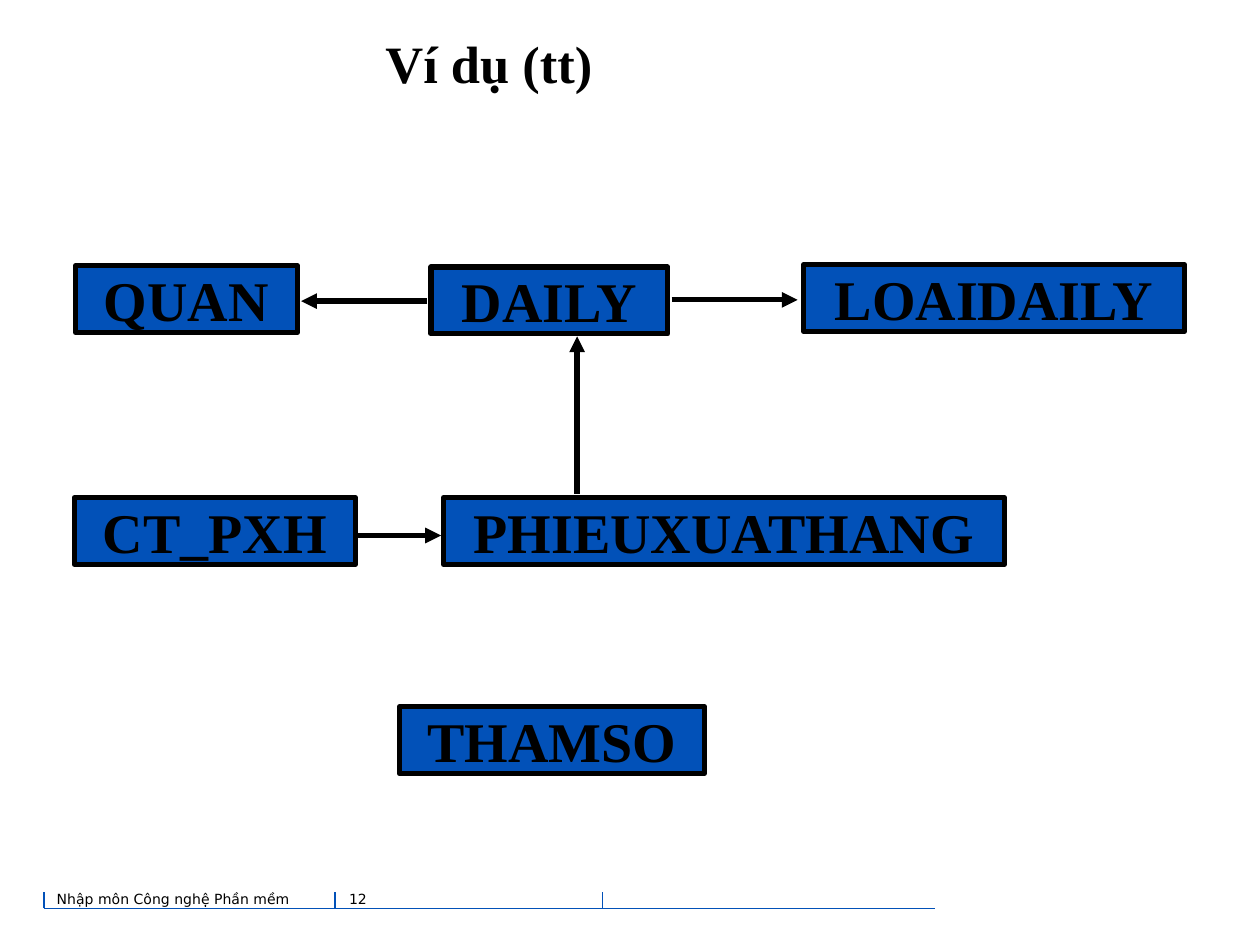
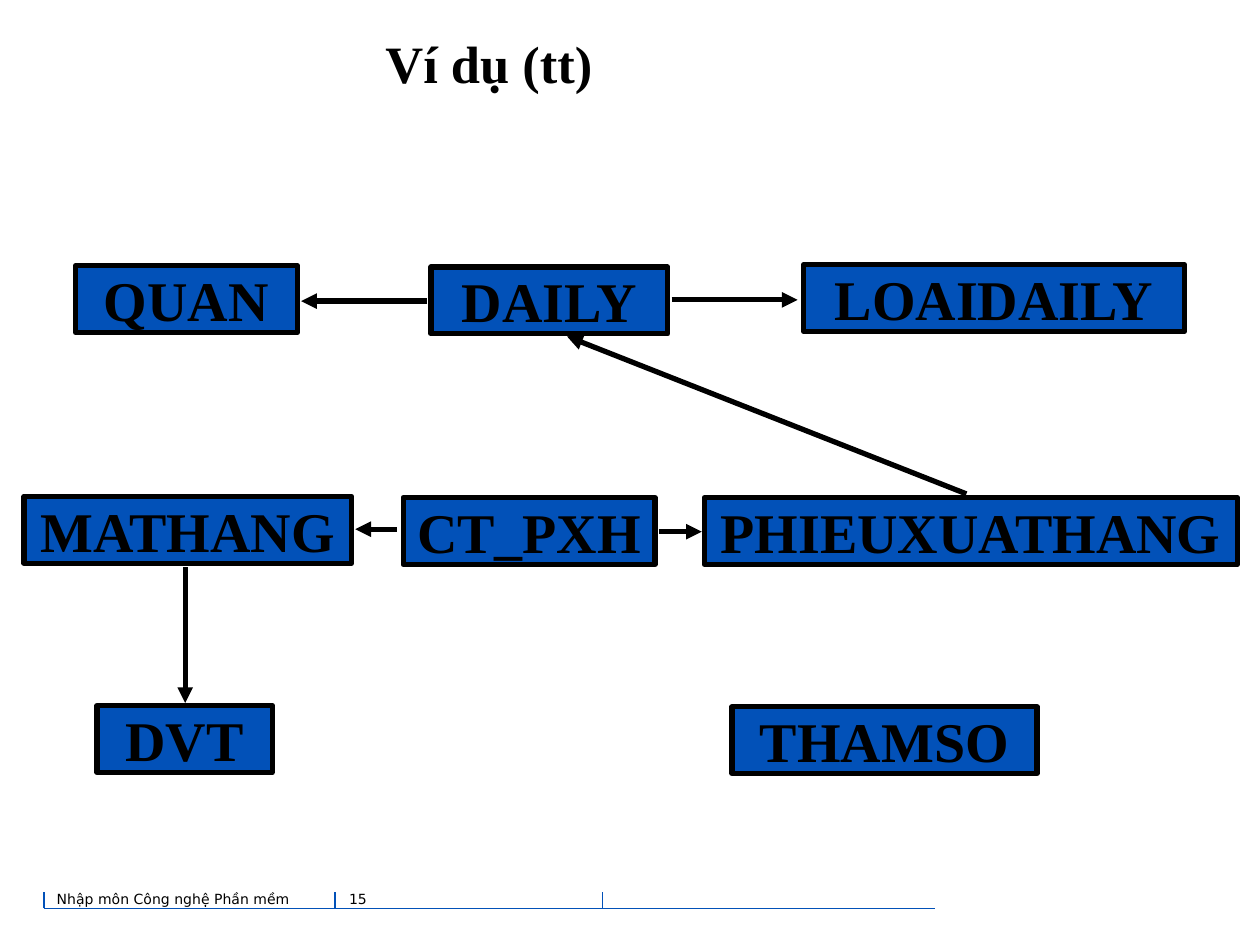
import pptx
import pptx.util
import pptx.dml.color
import pptx.enum.shapes
import pptx.enum.text
import pptx.oxml.ns
import lxml.etree

BLUE = pptx.dml.color.RGBColor(0x02, 0x51, 0xB8)
BLACK = pptx.dml.color.RGBColor(0, 0, 0)
WHITE = pptx.dml.color.RGBColor(0xFF, 0xFF, 0xFF)
SERIF, SANS = "Times New Roman", "DejaVu Sans"

# Grid: square cells over the whole slide
COLS, ROWS = 100, 75
CELL = pptx.util.Inches(10) // COLS
HIGH = 5.3  # rows in a table box

ALIGN = pptx.enum.text.PP_ALIGN
ANCHOR = pptx.enum.text.MSO_ANCHOR


def grid(*cells):
    return [pptx.util.Emu(round(c * CELL)) for c in cells]


class Deck:
    def __init__(self):
        self.file = pptx.Presentation()
        self.file.slide_width, self.file.slide_height = grid(COLS, ROWS)
        self.slide = None

    def page(self, title, number):
        self.slide = self.file.slides.add_slide(self.file.slide_layouts[6])
        fill = self.slide.background.fill
        fill.solid()
        fill.fore_color.rgb = WHITE
        self.footer(number)
        self.label(title, 1.7, 0.7, 74.2, 8.5, SERIF, 30, True)

    def footer(self, number):
        base = 72.1
        self.line((74.2, base), (3.5, base), BLUE, 0.75)
        for x in (3.5, 26.6, 47.8):
            self.line((x, base), (x, 70.8), BLUE, 0.75)
        self.label("Nhập môn Công nghệ Phần mềm", 4.1, 70.3, 21.9, 2.5, SANS, 8)
        self.label(str(number), 27.3, 70.3, 12.5, 2.5, SANS, 8)

    def words(self, shape, text, font, size, head):
        """Headings are bold and centred; other text sits top left."""
        frame = shape.text_frame
        inset = 0 if head else 0.4
        (frame.margin_left, frame.margin_right,
         frame.margin_top, frame.margin_bottom) = grid(*[inset] * 4)
        frame.vertical_anchor = ANCHOR.MIDDLE if head else ANCHOR.TOP
        para = frame.paragraphs[0]
        para.alignment = ALIGN.CENTER if head else ALIGN.LEFT
        run = para.add_run()
        run.text = text
        run.font.name = font
        run.font.size = pptx.util.Pt(size)
        run.font.bold = head
        run.font.color.rgb = BLACK
        return frame

    def label(self, text, x, y, wide, high, font, size, head=False):
        shape = self.slide.shapes.add_textbox(*grid(x, y, wide, high))
        self.words(shape, text, font, size, head).word_wrap = True

    def box(self, text, x, y, wide):
        kind = pptx.enum.shapes.MSO_SHAPE.RECTANGLE
        shape = self.slide.shapes.add_shape(kind, *grid(x, y, wide, HIGH))
        shape.shadow.inherit = False
        shape.fill.solid()
        shape.fill.fore_color.rgb = BLUE
        shape.line.color.rgb = BLACK
        shape.line.width = pptx.util.Pt(3)
        self.words(shape, text, SERIF, 32, True).word_wrap = False

    def line(self, start, end, color, width):
        kind = pptx.enum.shapes.MSO_CONNECTOR.STRAIGHT
        link = self.slide.shapes.add_connector(kind, *grid(*start, *end))
        link.line.color.rgb = color
        link.line.width = pptx.util.Pt(width)
        lxml.etree.SubElement(link._element.spPr,
                              pptx.oxml.ns.qn("a:effectLst"))
        return link

    def arrow(self, start, end):
        link = self.line(start, end, BLACK, 3)
        lxml.etree.SubElement(link._element.spPr.ln,
                              pptx.oxml.ns.qn("a:tailEnd"), type="triangle")

    def chart(self, number, boxes, arrows):
        self.page("Ví dụ (tt)", number)
        for item in TOP_BOXES + boxes:
            self.box(*item)
        for ends in TOP_ARROWS + arrows:
            self.arrow(*ends)


# Top row, the same on both slides: name, column, row, width
TOP_BOXES = [
    ("DAILY", 34.2, 21.2, 18.8),
    ("QUAN", 6, 21.1, 17.6),
    ("LOAIDAILY", 63.8, 21, 30.2),
]
TOP_ARROWS = [
    ((53.3, 23.8), (63.3, 23.8)),
    ((33.9, 23.9), (23.9, 23.9)),
]


def main():
    deck = Deck()

    # Four linked tables and one alone
    deck.chart(12, [
        ("THAMSO", 31.7, 56.1, 24.2),
        ("PHIEUXUATHANG", 35.2, 39.5, 44.5),
        ("CT_PXH", 5.9, 39.5, 22.3),
    ], [
        ((45.8, 39.2), (45.8, 26.7)),
        ((28.3, 42.5), (35, 42.5)),
    ])

    # Goods and their units added
    deck.chart(15, [
        ("THAMSO", 58.1, 56.1, 24.2),
        ("PHIEUXUATHANG", 55.9, 39.5, 42.3),
        ("CT_PXH", 32, 39.5, 20),
        ("MATHANG", 1.9, 39.4, 26),
        ("DVT", 7.7, 56, 13.9),
    ], [
        ((52.3, 42.2), (55.7, 42.2)),
        ((31.5, 42), (28.2, 42)),
        ((14.7, 45), (14.7, 55.8)),
        ((76.7, 39.2), (45, 26.7)),
    ])

    deck.file.save("out.pptx")


if __name__ == "__main__":
    main()
